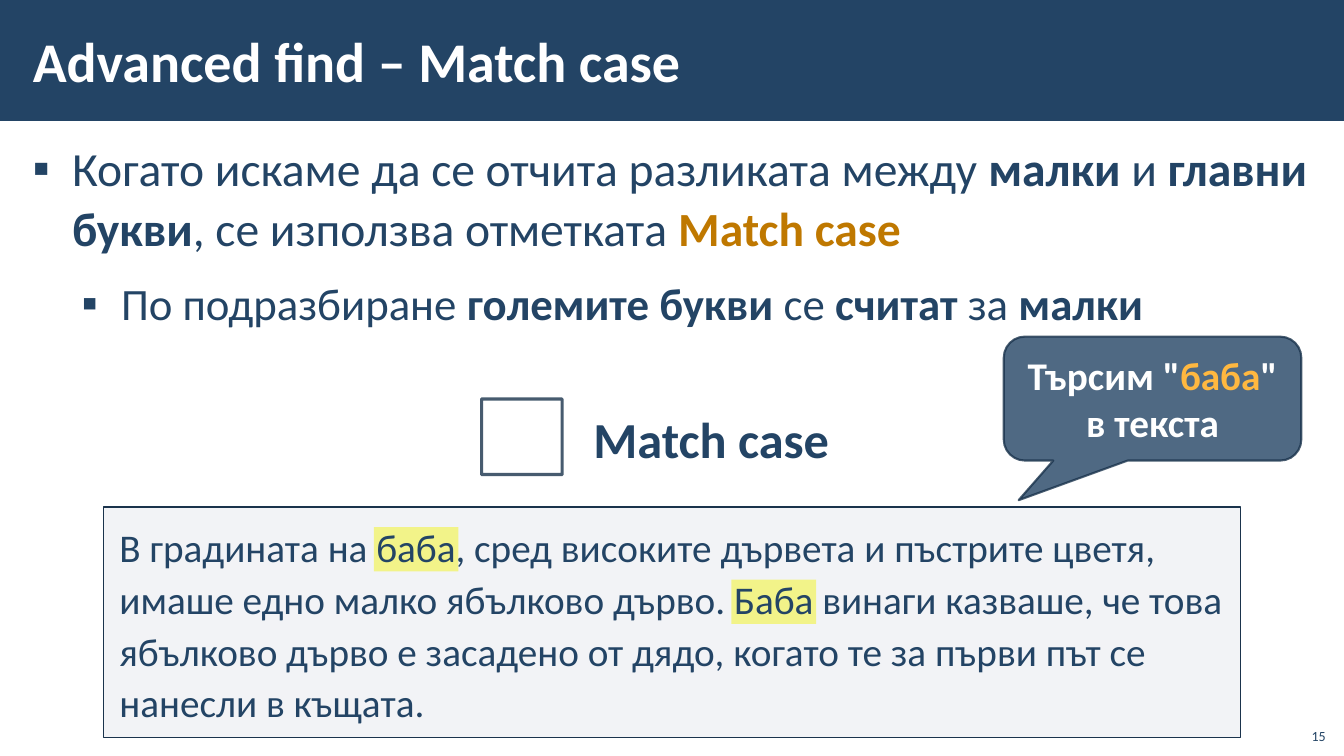
from lxml import etree
from pptx import Presentation
from pptx import util as u
from pptx.dml import color
from pptx.enum import shapes, text
from pptx.oxml import ns

Pt = u.Pt
NAVY, DARK, WHITE = "234465", "1A334C", "FFFFFF"
SHAPE = shapes.MSO_SHAPE
ALIGN = text.PP_ALIGN
ANCHOR = text.MSO_ANCHOR


def rgb(code):
    return color.RGBColor.from_string(code)


def fade(fill, share):
    tint = fill._xPr.find(".//" + ns.qn("a:srgbClr"))
    etree.SubElement(tint, ns.qn("a:alpha"), val=str(share * 1000))


def block(slide, kind, box, fill=None, share=100, line=None, width=1, solid=100):
    item = slide.shapes.add_shape(kind, *map(Pt, box))
    item.shadow.inherit = False
    if fill:
        item.fill.solid()
        item.fill.fore_color.rgb = rgb(fill)
        fade(item.fill, share)
    else:
        item.fill.background()
    if line:
        item.line.color.rgb = rgb(line)
        item.line.width = Pt(width)
        fade(item.line.fill, solid)
    else:
        item.line.fill.background()
    return item


def frame(item, pad, anchor=ANCHOR.TOP):
    body = item.text_frame
    body.word_wrap = True
    body.margin_left = body.margin_right = Pt(pad[0])
    body.margin_top = body.margin_bottom = Pt(pad[1])
    body.vertical_anchor = anchor
    return body


def label(slide, box, pad, anchor=ANCHOR.TOP):
    return frame(slide.shapes.add_textbox(*map(Pt, box)), pad, anchor)


def write(para, parts, size, tone=NAVY, bold=None, align=ALIGN.LEFT, space=None):
    para.alignment = align
    para.line_spacing = space
    font = para.font
    font.name, font.size, font.bold = "Calibri", Pt(size), bold
    font.color.rgb = rgb(tone)
    for words, strong, hue in parts:
        run = para.add_run()
        run.text = words
        if strong:
            run.font.bold = True
        if hue:
            run.font.color.rgb = rgb(hue)


def plain(words):
    return [(words, False, None)]


def bullet(para, left):
    props = para._p.get_or_add_pPr()
    props.set("marL", str(Pt(left)))
    props.set("indent", str(-Pt(28)))
    etree.SubElement(props, ns.qn("a:buFont"), typeface="Calibri")
    etree.SubElement(props, ns.qn("a:buChar"), char="▪")


def header(slide, box):
    x, y, w, h = box
    block(slide, SHAPE.RECTANGLE, box, NAVY)
    body = label(slide, (x + 15, y + 8, w - 152, h - 16), (8.5, 3), ANCHOR.MIDDLE)
    write(body.paragraphs[0], plain("Advanced find – Match case"), 40, WHITE, True)


def points(slide, box):
    body = label(slide, box, (8.5, 3))
    first = body.paragraphs[0]
    bullet(first, 28)
    write(first, [
        ("Когато искаме да се отчита разликата между ", False, None),
        ("малки", True, None),
        (" и ", False, None),
        ("главни букви", True, None),
        (", се използва отметката ", False, None),
        ("Match case", True, "BF7800"),
    ], 34, space=1.05)
    first.space_after = Pt(6)
    second = body.add_paragraph()
    second.level = 1
    bullet(second, 63)
    write(second, [
        ("По подразбиране ", False, None),
        ("големите букви ", True, None),
        ("се ", False, None),
        ("считат", True, None),
        (" за ", False, None),
        ("малки", True, None),
    ], 32, space=1.05)
    second.space_before = second.space_after = Pt(6)


def option(slide, box):
    x, y, w, h = box
    block(slide, SHAPE.RECTANGLE, (x, y + 6, 57.6, 54), line=DARK, width=2.25, solid=80)
    body = label(slide, (x + 68.5, y, w - 68.5, h), (11.3, 8.5))
    write(body.paragraphs[0], plain("Match case"), 36, bold=True, space=1.1)


def sample(slide, box):
    x, y, w, h = box
    for dx, dy in ((448.5, 52), (193, 14.5)):
        block(slide, SHAPE.RECTANGLE, (x + dx, y + dy, 60.5, 31.7), "FFFF00", 50)
    body = frame(block(slide, SHAPE.RECTANGLE, box, "ADB4C3", 15, DARK), (11.3, 8.5))
    write(body.paragraphs[0], plain(
        "В градината на баба, сред високите дървета и пъстрите цветя, "
        "имаше едно малко ябълково дърво. Баба винаги казваше, че това "
        "ябълково дърво е засадено от дядо, когато те за първи път се "
        "нанесли в къщата."), 28, space=1.1)


def callout(slide, box):
    item = block(slide, SHAPE.ROUNDED_RECTANGULAR_CALLOUT, box, NAVY, 80, DARK, 1.5, 80)
    for spot, value in enumerate((-0.45, 0.82, 0.17)):
        item.adjustments[spot] = value
    body = frame(item, (7.2, 3.6), ANCHOR.MIDDLE)
    write(body.paragraphs[0], [
        ('Търсим "', False, None),
        ("баба", False, "FFB840"),
        ('" в текста', False, None),
    ], 28, WHITE, True, ALIGN.CENTER)


def number(slide, box):
    body = label(slide, box, (7.2, 3.6), ANCHOR.BOTTOM)
    write(body.paragraphs[0], plain("15"), 10, align=ALIGN.RIGHT)


def main():
    deck = Presentation()
    deck.slide_width, deck.slide_height = Pt(960), Pt(540)
    slide = deck.slides.add_slide(deck.slide_layouts[6])
    header(slide, (0, 0, 960, 86.4))
    number(slide, (925, 512.5, 29, 23))
    points(slide, (15, 94.5, 930, 435.5))
    sample(slide, (74, 362, 812, 165))
    callout(slide, (717, 240.5, 212.5, 88.5))
    option(slide, (344, 279, 272.5, 65))
    deck.save("out.pptx")


if __name__ == "__main__":
    main()
